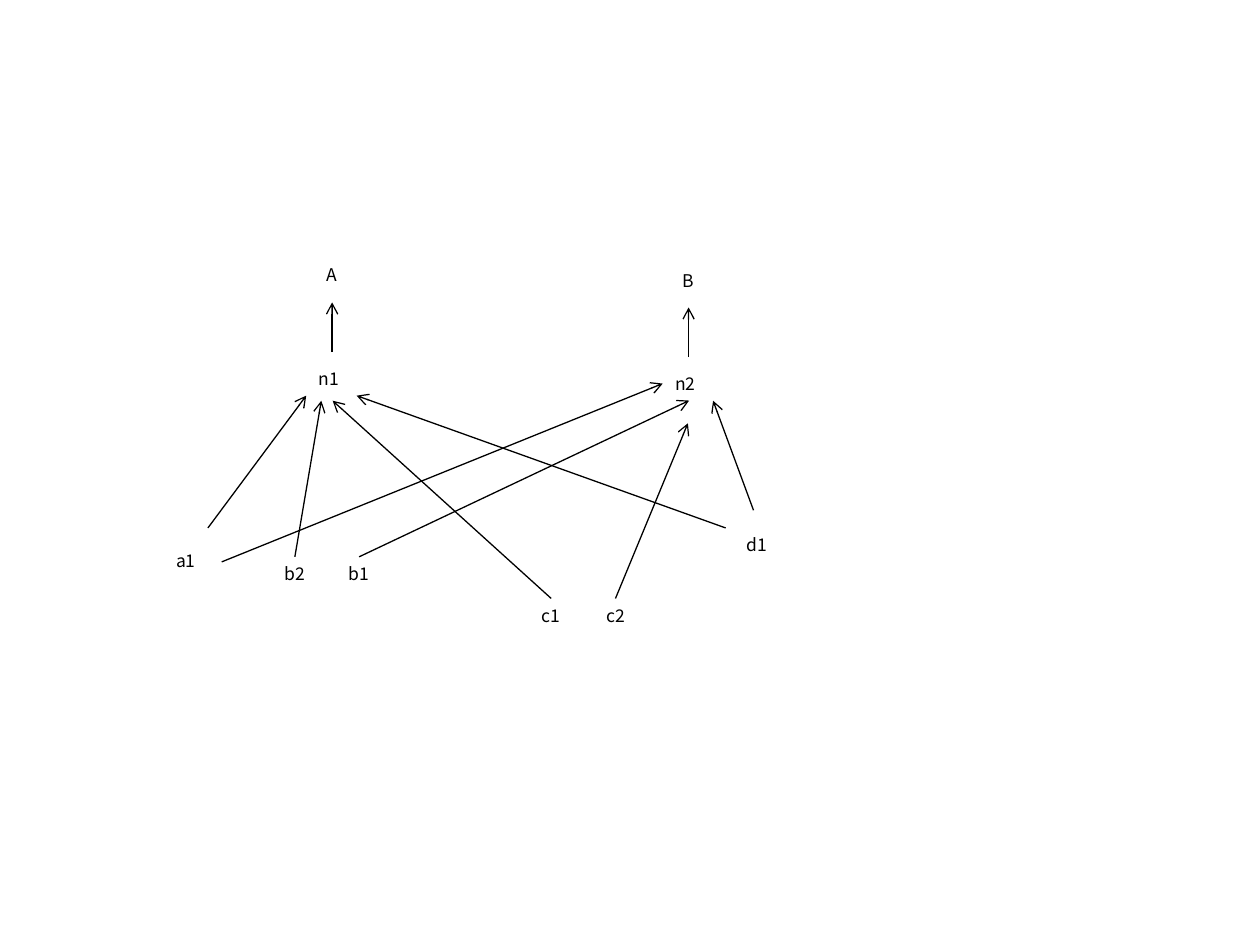
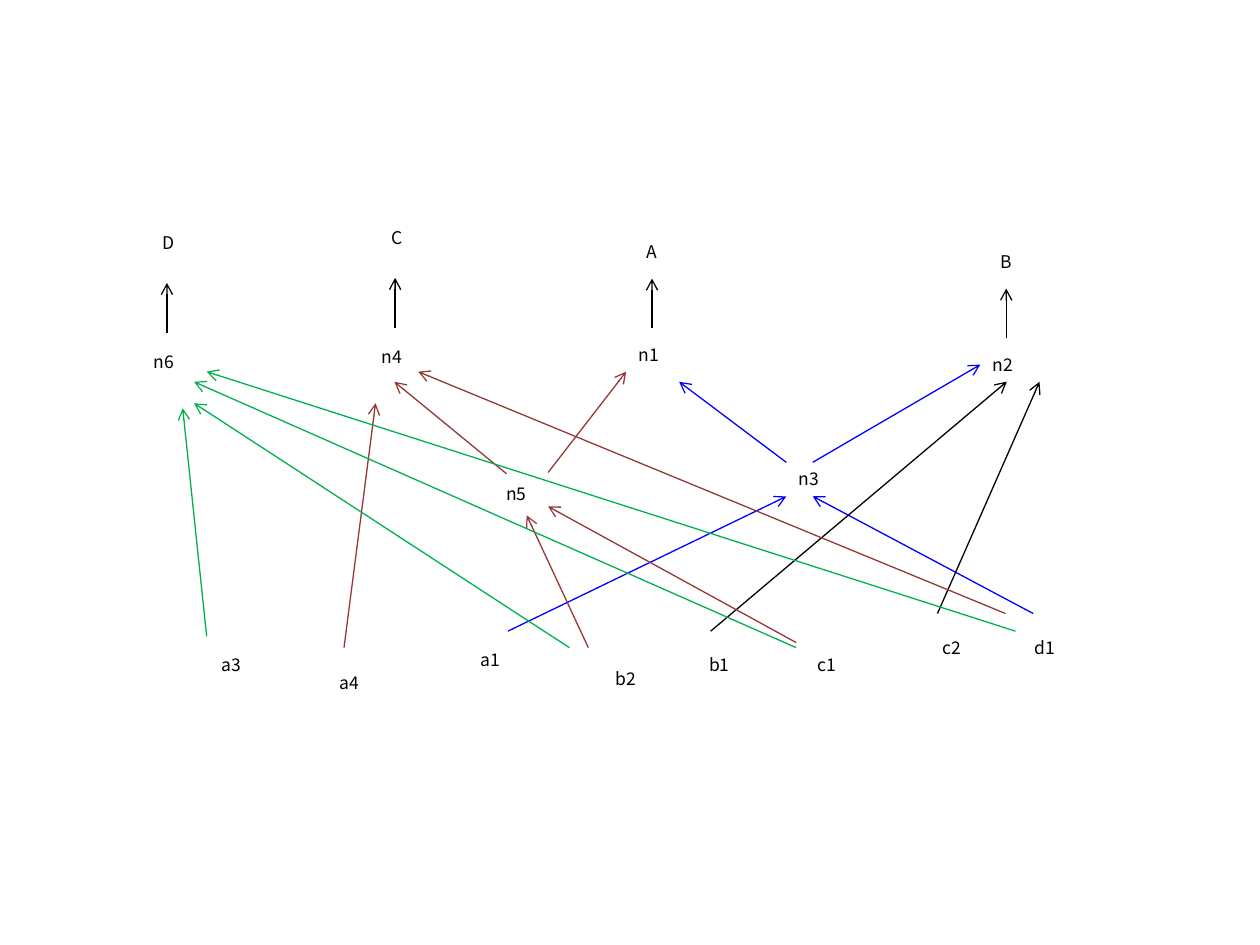
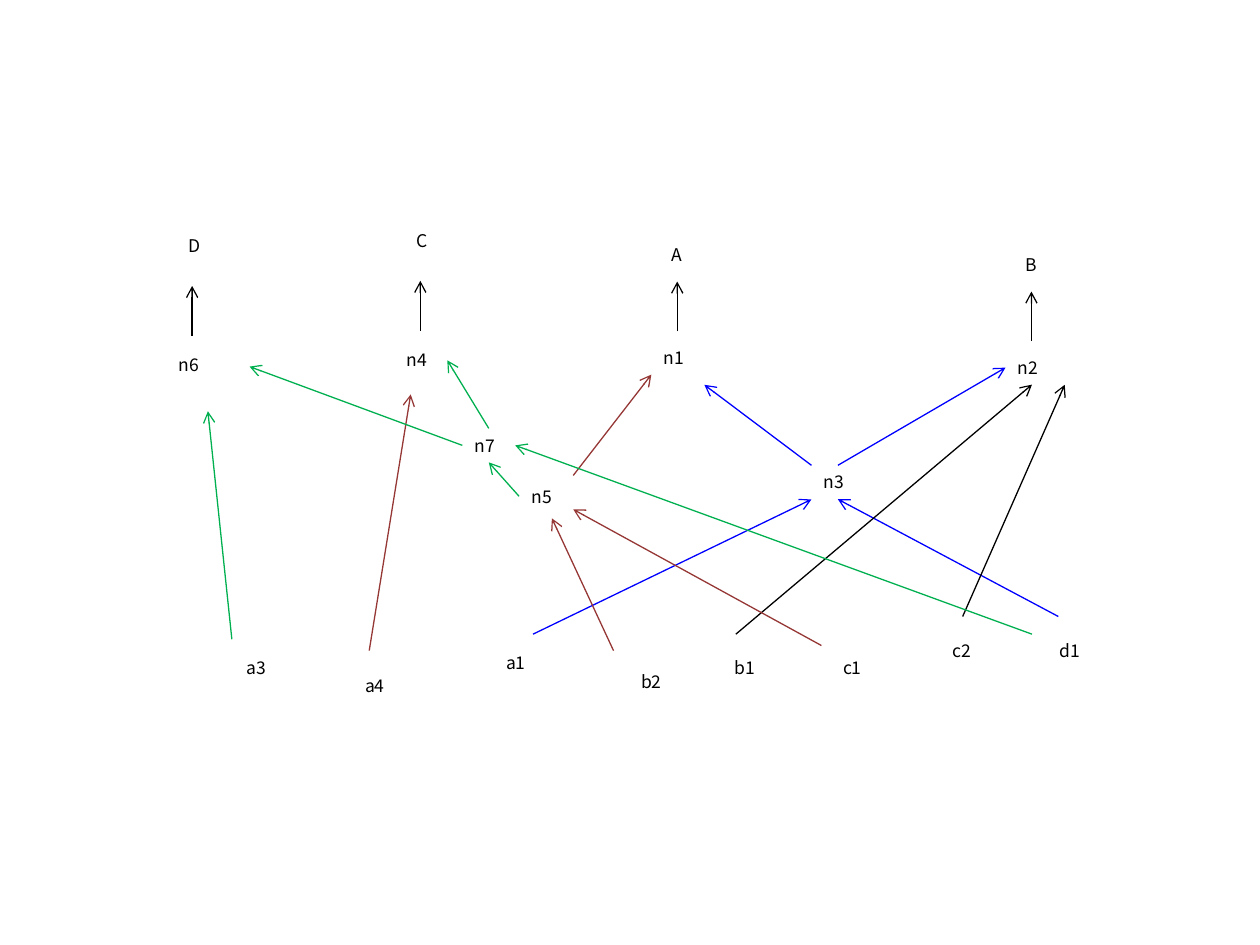
from dataclasses import dataclass

from lxml import etree
from pptx import Presentation
from pptx.dml.color import RGBColor
from pptx.enum.shapes import MSO_CONNECTOR
from pptx.enum.text import MSO_AUTO_SIZE, PP_ALIGN
from pptx.oxml.ns import qn
from pptx.util import Pt

STRAIGHT = MSO_CONNECTOR.STRAIGHT
LEFT_ALIGN, CENTER = PP_ALIGN.LEFT, PP_ALIGN.CENTER
GROW = MSO_AUTO_SIZE.SHAPE_TO_FIT_TEXT
TOP, LEFT, BOTTOM, RIGHT = range(4)

# Shared look
COLORS = {"black": "000000", "blue": "0000FF", "brown": "953735", "green": "00B050"}
FONT = "Noto Sans CJK KR"
FONT_SIZE = 10
LINE_WIDTH = 0.75
LABEL_HEIGHT = 19.4
LABEL_WIDTHS = {"a": 41, "b": 43.2, "c": 41, "d": 43.2, "n": 30.2}
ROOT_WIDTH = 42.5
STEM_OFFSET = 14.8
STEM_LENGTH = 28.4


@dataclass(frozen=True)
class Label:
    text: str
    left: float
    top: float


@dataclass(frozen=True)
class Spacing:
    root_shift: float
    root_lift: float
    stem_gap: float


@dataclass(frozen=True)
class Tree:
    """A lettered root above its node, with a short arrow between them."""
    root: str
    node: Label
    spacing: Spacing


@dataclass(frozen=True)
class Point:
    x: float
    y: float


@dataclass(frozen=True)
class Joint:
    label: str
    side: int


@dataclass(frozen=True)
class Link:
    start: Point | Joint
    end: Point | Joint
    color: str = "black"


@dataclass(frozen=True)
class Diagram:
    trees: tuple[Tree, ...]
    labels: tuple[Label, ...]
    links: tuple[Link, ...]
    shift: Point = Point(0, 0)


TIGHT = Spacing(-6.6, 59, 5.4)
LOOSE = Spacing(-5.4, 68.4, 7.2)

# Two trees
TWO_TREES = Diagram(
    trees=(
        Tree("A", Label("n1", 175, 206.6), TIGHT),
        Tree("B", Label("n2", 378.7, 209.5), TIGHT),
    ),
    labels=(
        Label("a1", 85.7, 311),
        Label("b2", 146.9, 318.2),
        Label("b1", 183.6, 318.2),
        Label("c1", 294.5, 342),
        Label("c2", 331.2, 342),
        Label("d1", 411.1, 301.7),
    ),
    links=(
        Link(Joint("b2", TOP), Point(183.6, 229)),
        Link(Point(118.8, 301.7), Point(175, 226.1)),
        Link(Joint("c1", TOP), Point(190.1, 229)),
        Link(Point(414.7, 301.7), Point(203.8, 226.1)),
        Link(Joint("b1", TOP), Joint("n2", BOTTOM)),
        Link(Point(126.7, 321.1), Joint("n2", LEFT)),
        Link(Joint("c2", TOP), Point(393.1, 241.9)),
        Link(Point(430.6, 291.6), Point(407.5, 229)),
    ),
)

# Four trees: the part common to both versions
FOUR_TREES = (
    Tree("A", Label("n1", 357.8, 193), TIGHT),
    Tree("B", Label("n2", 560.2, 198.7), TIGHT),
    Tree("C", Label("n4", 211, 194.4), LOOSE),
    Tree("D", Label("n6", 80.6, 197.3), LOOSE),
)
COMMON_LABELS = (
    Label("a1", 259.9, 367.2),
    Label("a3", 111.6, 370.1),
    Label("a4", 179.3, 380.2),
    Label("b1", 389.5, 370.1),
    Label("b2", 336.2, 378),
    Label("c1", 452.2, 370.1),
    Label("d1", 575.3, 360.7),
    Label("n3", 449.3, 264.2),
    Label("n5", 282.2, 272.2),
)
COMMON_LINKS = (
    Link(Point(290.2, 360.7), Point(449.3, 283.7), "blue"),
    Link(Point(590.4, 350.6), Joint("n3", BOTTOM), "blue"),
    Link(Joint("n3", TOP), Joint("n2", LEFT), "blue"),
    Link(Point(449.3, 264.2), Point(388.1, 218.2), "blue"),
    Link(Point(406.1, 360.7), Joint("n2", BOTTOM)),
    Link(Point(535.7, 350.6), Point(594, 218.2)),
    Link(Point(336.2, 370.1), Point(301, 294.5), "brown"),
    Link(Point(455, 367.2), Point(313.2, 289.4), "brown"),
    Link(Point(313.2, 270), Point(357.8, 212.4), "brown"),
    Link(Point(118.1, 363.6), Point(104.4, 233.3), "green"),
)

# Four trees with direct links
DIRECT = Diagram(
    trees=FOUR_TREES,
    labels=COMMON_LABELS + (Label("c2", 523.4, 360.7),),
    links=COMMON_LINKS + (
        Link(Point(196.6, 370.1), Point(214.6, 230.4), "brown"),
        Link(Point(574.6, 350.6), Point(239, 212.4), "brown"),
        Link(Point(289.4, 270.7), Point(225.4, 218.2), "brown"),
        Link(Point(325.4, 370.1), Point(110.9, 230.4), "green"),
        Link(Point(455, 370.1), Point(110.9, 218.2), "green"),
        Link(Point(580.3, 360.7), Point(118.1, 212.4), "green"),
    ),
)

# Four trees sharing the node n7
SHARED_NODE = Diagram(
    trees=FOUR_TREES,
    labels=COMMON_LABELS + (Label("c2", 514.8, 360.7), Label("n7", 249.8, 243.1)),
    links=COMMON_LINKS + (
        Link(Point(196.6, 370.1), Point(220.3, 223.7), "brown"),
        Link(Joint("n7", LEFT), Point(128.2, 207.8), "green"),
        Link(Point(575.3, 360.7), Joint("n7", RIGHT), "green"),
        Link(Joint("n5", LEFT), Joint("n7", BOTTOM), "green"),
        Link(Joint("n7", TOP), Point(241.2, 204.2), "green"),
    ),
    shift=Point(14.4, 1.7),
)


def draw_label(slide, label: Label, shift: Point):
    box = slide.shapes.add_textbox(
        Pt(label.left + shift.x), Pt(label.top + shift.y),
        Pt(LABEL_WIDTHS.get(label.text[0], ROOT_WIDTH)), Pt(LABEL_HEIGHT))
    frame = box.text_frame
    frame.word_wrap = True
    frame.auto_size = GROW
    paragraph = frame.paragraphs[0]
    paragraph.alignment = LEFT_ALIGN if label.text.startswith("n") else CENTER
    run = paragraph.add_run()
    run.text = label.text
    run.font.name = FONT
    run.font.size = Pt(FONT_SIZE)
    run.font.color.rgb = RGBColor.from_string(COLORS["black"])
    return box


def draw_link(slide, link: Link, boxes: dict, shift: Point) -> None:
    arrow = slide.shapes.add_connector(STRAIGHT, 0, 0, 0, 0)
    if isinstance(link.start, Joint):
        arrow.begin_connect(boxes[link.start.label], link.start.side)
    else:
        arrow.begin_x = Pt(link.start.x + shift.x)
        arrow.begin_y = Pt(link.start.y + shift.y)
    if isinstance(link.end, Joint):
        arrow.end_connect(boxes[link.end.label], link.end.side)
    else:
        arrow.end_x = Pt(link.end.x + shift.x)
        arrow.end_y = Pt(link.end.y + shift.y)
    arrow.line.width = Pt(LINE_WIDTH)
    arrow.line.color.rgb = RGBColor.from_string(COLORS[link.color])
    etree.SubElement(arrow.line._get_or_add_ln(), qn("a:tailEnd"), type="arrow")
    etree.SubElement(arrow._element.spPr, qn("a:effectLst"))


def tree_root(tree: Tree) -> Label:
    return Label(tree.root, tree.node.left + tree.spacing.root_shift,
                 tree.node.top - tree.spacing.root_lift)


def tree_stem(tree: Tree) -> Link:
    x = tree.node.left + STEM_OFFSET
    bottom = tree.node.top - tree.spacing.stem_gap
    return Link(Point(x, bottom), Point(x, bottom - STEM_LENGTH))


def draw_diagram(slide, diagram: Diagram) -> None:
    labels = list(diagram.labels)
    for tree in diagram.trees:
        labels += [tree.node, tree_root(tree)]
    boxes = {label.text: draw_label(slide, label, diagram.shift) for label in labels}
    for link in (*diagram.links, *map(tree_stem, diagram.trees)):
        draw_link(slide, link, boxes, diagram.shift)


def main() -> None:
    deck = Presentation()
    deck.slide_width, deck.slide_height = Pt(720), Pt(540)
    blank = deck.slide_layouts[6]
    for diagram in (TWO_TREES, DIRECT, SHARED_NODE):
        draw_diagram(deck.slides.add_slide(blank), diagram)
    deck.save("out.pptx")


if __name__ == "__main__":
    main()
